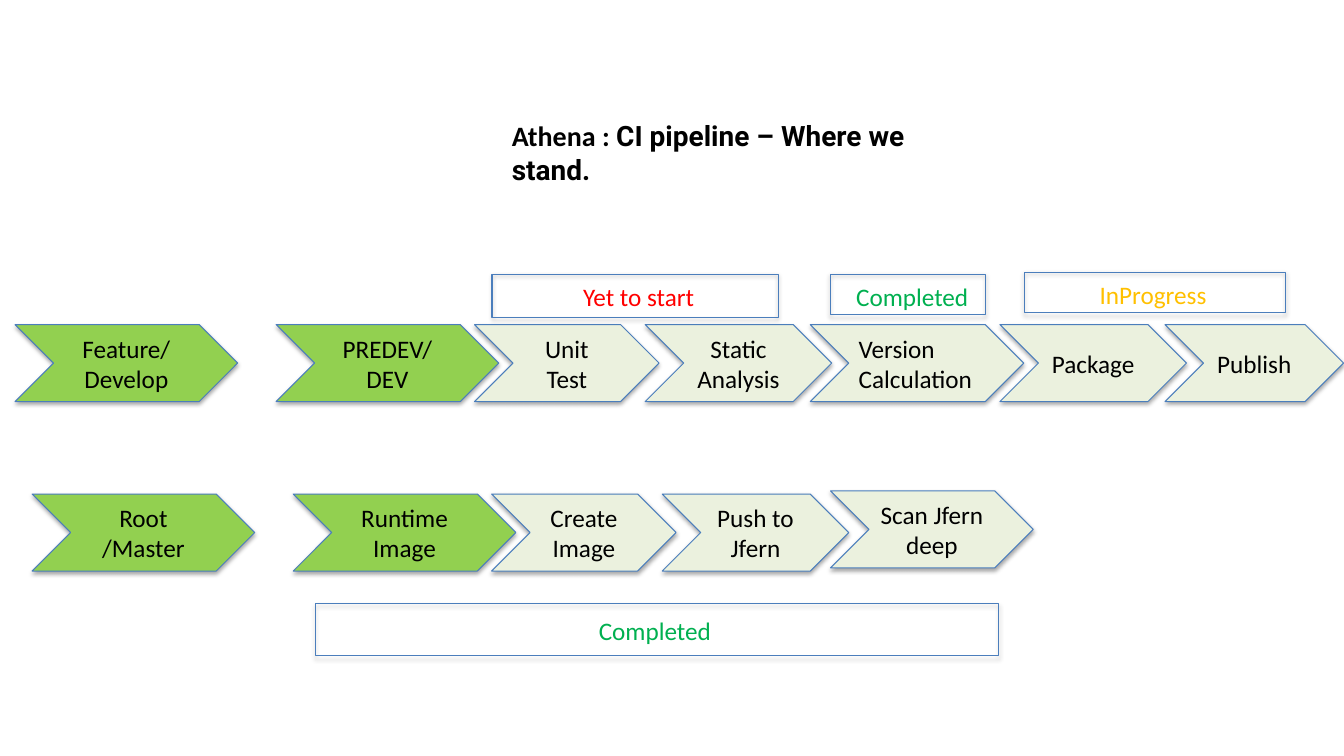
import pptx
import pptx.dml.color
import pptx.enum.shapes
import pptx.enum.text
import pptx.oxml
import pptx.util

Cm = pptx.util.Cm
RGBColor = pptx.dml.color.RGBColor
Shape = pptx.enum.shapes.MSO_SHAPE
Align = pptx.enum.text.PP_ALIGN

BLACK = RGBColor(0x00, 0x00, 0x00)
BRANCH_GREEN = RGBColor(0x92, 0xD0, 0x50)
STAGE_PALE = RGBColor(0xEB, 0xF1, 0xDE)
OUTLINE_BLUE = RGBColor(0x4B, 0x7E, 0xBC)
DONE_GREEN = RGBColor(0x00, 0xB0, 0x50)
PROGRESS_AMBER = RGBColor(0xFF, 0xC0, 0x00)
WAITING_RED = RGBColor(0xFF, 0x00, 0x00)

SHADOW = (
    '<a:effectLst xmlns:a="http://schemas.openxmlformats.org/drawingml/2006/main">'
    '<a:outerShdw blurRad="40000" dist="23000" dir="5400000" rotWithShape="0">'
    '<a:srgbClr val="000000"><a:alpha val="35000"/></a:srgbClr>'
    '</a:outerShdw></a:effectLst>'
)

BRANCH_WIDTH = 5.61
STAGE_HEIGHT = 1.94
LABEL_HEIGHT = 1.02

DEVELOP_STAGES = [
    ("Feature/\nDevelop", 0, BRANCH_WIDTH, 0, BRANCH_GREEN, Align.CENTER),
    ("PREDEV/\nDEV", 6.58, BRANCH_WIDTH, 0, BRANCH_GREEN, Align.CENTER),
    ("Unit Test", 11.58, 4.65, 0, STAGE_PALE, Align.CENTER),
    ("Static Analysis", 15.88, 4.7, 0, STAGE_PALE, Align.CENTER),
    ("Version Calculation", 20.04, 5.38, 0, STAGE_PALE, Align.JUSTIFY),
    ("Package", 24.82, 4.7, 0, STAGE_PALE, Align.CENTER),
    ("Publish", 28.98, 4.5, 0, STAGE_PALE, Align.CENTER),
]
MASTER_STAGES = [
    ("Root /Master", 0, BRANCH_WIDTH, 0, BRANCH_GREEN, Align.CENTER),
    ("Runtime Image", 6.58, BRANCH_WIDTH, 0, BRANCH_GREEN, Align.CENTER),
    ("Create Image", 11.58, 4.65, 0, STAGE_PALE, Align.CENTER),
    ("Push to Jfern", 15.88, 4.7, 0, STAGE_PALE, Align.CENTER),
    ("Scan Jfern deep", 20.12, 5.11, -0.08, STAGE_PALE, Align.CENTER),
]
STATUSES = [
    ("Yet to start", WAITING_RED, (12.4, 6.91, 7.21, 1.09), (13.49, 6.96, 5.21)),
    ("Completed", DONE_GREEN, (20.93, 6.91, 3.91, 1.02), (21.21, 6.96, 3.56)),
    ("InProgress", PROGRESS_AMBER, (25.81, 6.86, 6.58, 1.02), (26.37, 6.91, 5.38)),
    ("Completed", DONE_GREEN, (7.95, 15.21, 17.22, 1.32), (12.01, 15.37, 8.99)),
]


def style_span(span, color=BLACK, size=18, font="Calibri", bold=False):
    """Format one run of text."""
    span.font.name = font
    span.font.size = pptx.util.Pt(size)
    span.font.bold = bold
    span.font.color.rgb = color


def add_outlined(page, kind, box, fill=None):
    """Add a blue-outlined shape with a soft shadow below it."""
    shape = page.shapes.add_shape(kind, *map(Cm, box))
    if fill is None:
        shape.fill.background()
    else:
        shape.fill.solid()
        shape.fill.fore_color.rgb = fill
    shape.line.color.rgb = OUTLINE_BLUE
    shape.line.width = pptx.util.Pt(0.75)
    shape._element.spPr.append(pptx.oxml.parse_xml(SHADOW))
    return shape


def add_title(page, box):
    """Write the two-font title."""
    frame = page.shapes.add_textbox(*map(Cm, box)).text_frame
    frame.word_wrap = True
    para = frame.paragraphs[0]
    for text, font in [("Athena : ", "Calibri"), ("CI pipeline – Where we stand.", "Roboto")]:
        span = para.add_run()
        span.text = text
        style_span(span, size=20, font=font, bold=True)


def add_pipeline(page, left, top, stages):
    """Place a row of chevrons from the given corner."""
    for text, offset, width, shift, fill, align in stages:
        box = (left + offset, top + shift, width, STAGE_HEIGHT)
        frame = add_outlined(page, Shape.CHEVRON, box, fill).text_frame
        frame.word_wrap = True
        frame.vertical_anchor = pptx.enum.text.MSO_ANCHOR.MIDDLE
        frame.text = text
        for para in frame.paragraphs:
            para.alignment = align
            for span in para.runs:
                style_span(span)


def add_status(page, text, color, frame_box, label_box):
    """Draw a status frame with its coloured label."""
    add_outlined(page, Shape.RECTANGLE, frame_box)
    label = page.shapes.add_textbox(*map(Cm, label_box), Cm(LABEL_HEIGHT)).text_frame
    label.word_wrap = True
    label.text = text
    para = label.paragraphs[0]
    para.alignment = Align.CENTER
    style_span(para.runs[0], color)


def main():
    """Build the pipeline status slide."""
    deck = pptx.Presentation()
    deck.slide_width, deck.slide_height = Cm(33.87), Cm(19.05)
    page = deck.slides.add_slide(deck.slide_layouts[6])
    add_title(page, (12.65, 2.87, 11.99, 1.12))
    add_pipeline(page, 0.38, 8.18, DEVELOP_STAGES)
    add_pipeline(page, 0.81, 12.45, MASTER_STAGES)
    for status in STATUSES:
        add_status(page, *status)
    deck.save("out.pptx")


if __name__ == "__main__":
    main()
